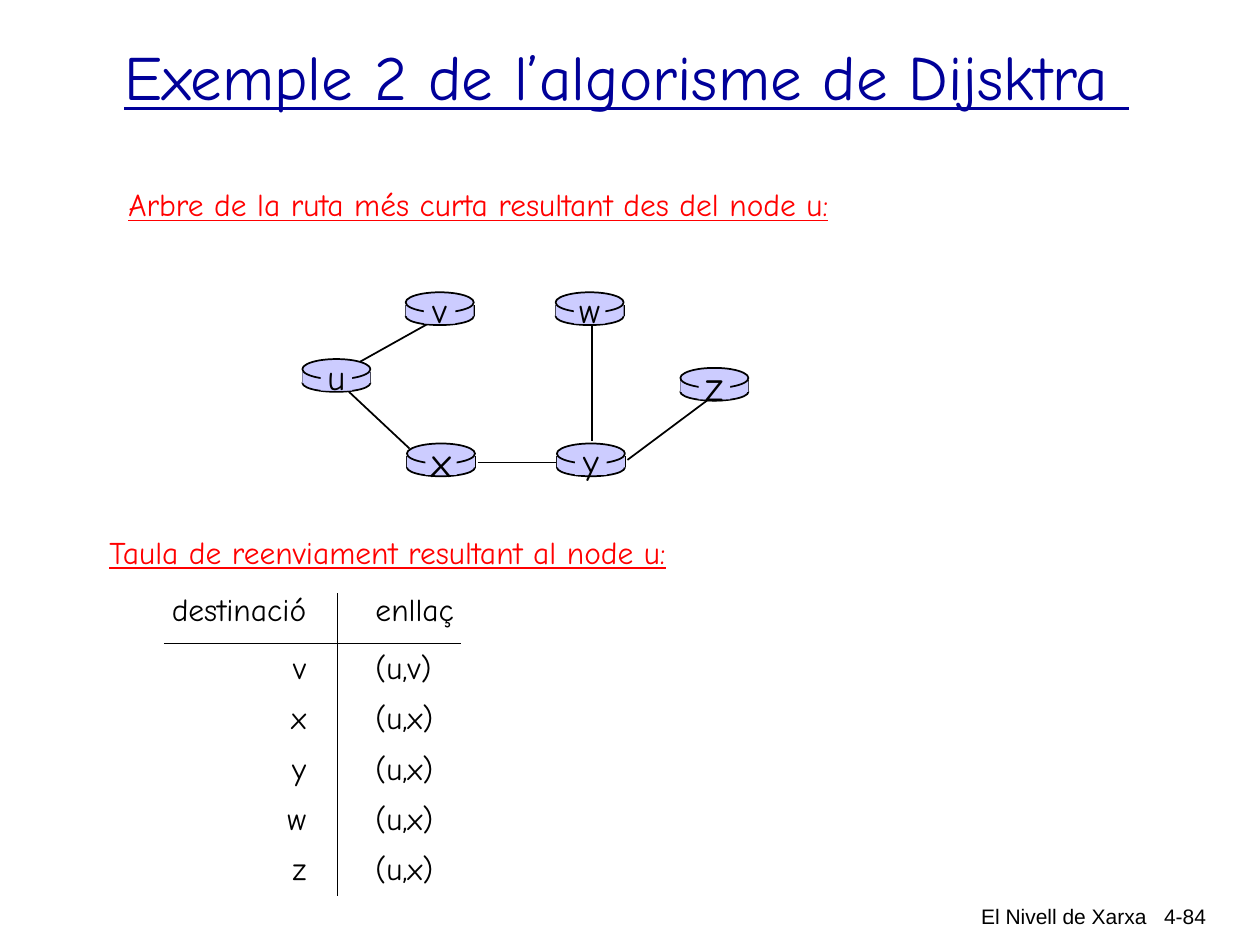
from lxml.etree import SubElement
from pptx import Presentation
from pptx.dml.color import RGBColor
from pptx.enum.shapes import MSO_CONNECTOR, MSO_SHAPE
from pptx.enum.text import MSO_ANCHOR, PP_ALIGN
from pptx.oxml.ns import qn
from pptx.util import Inches, Pt

BLACK, RED, NAVY, LILAC = "000000", "FF0000", "000099", "CCCCFF"
HAND, PLAIN = "Comic Neue", "Arial"

TITLE = "Exemple 2 de l’algorisme de Dijsktra "
TREE_HEADING = "Arbre de la ruta més curta resultant des del node u:"
TABLE_HEADING = "Taula de reenviament resultant al node u:"
FOOTER, PAGE = "El Nivell de Xarxa", "4-84"

ROUTERS = [
    ("u", 2.4, 2.85, 20),
    ("x", 3.23, 3.52, 24),
    ("v", 3.22, 2.32, 20),
    ("w", 4.41, 2.32, 20),
    ("y", 4.42, 3.52, 20),
    ("z", 5.4, 2.92, 24),
]
LINKS = {
    "uv": (2.86, 2.87, 3.45, 2.54),
    "wy": (4.7, 2.59, 4.7, 3.5),
    "yz": (4.98, 3.65, 5.61, 3.18),
    "xy": (3.79, 3.67, 4.43, 3.67),
    "ux": (2.77, 3.11, 3.25, 3.56),
}
FORWARDING = [
    ("destinació", "enllaç"),
    ("v", "(u,v)"),
    ("x", "(u,x)"),
    ("y", "(u,x)"),
    ("w", "(u,x)"),
    ("z", "(u,x)"),
]
COLUMNS, ROW = (1.38, 0.98), 0.4
ROUTER_W, RIM_H, BASE_H, WALL_H = 0.54, 0.16, 0.14, 0.09
PLATE_W, PLATE_H = 0.25, 0.23

prs = Presentation()
prs.slide_width, prs.slide_height = Inches(10), Inches(7.5)
slide = prs.slides.add_slide(prs.slide_layouts[6])
shapes = slide.shapes


def rgb(value):
    return RGBColor.from_string(value)


def write(frame, text, size, color=BLACK, face=HAND, align=PP_ALIGN.LEFT, underline=False):
    paragraph = frame.paragraphs[0]
    paragraph.alignment = align
    run = paragraph.add_run()
    run.text = text
    run.font.size, run.font.name = Pt(size), face
    run.font.color.rgb = rgb(color)
    if underline:
        run.font.underline = True


def add_text(text, box, size, wrap=True, **style):
    frame = shapes.add_textbox(*map(Inches, box)).text_frame
    frame.word_wrap = wrap
    write(frame, text, size, **style)


def add_solid(kind, box, outlined=False):
    solid = shapes.add_shape(kind, *map(Inches, box))
    solid.shadow.inherit = False
    solid.fill.solid()
    solid.fill.fore_color.rgb = rgb(LILAC)
    if outlined:
        solid.line.color.rgb, solid.line.width = rgb(BLACK), Pt(1)
    else:
        solid.line.fill.background()
    return solid


def add_line(*ends):
    line = shapes.add_connector(MSO_CONNECTOR.STRAIGHT, *map(Inches, ends))
    line.line.color.rgb, line.line.width = rgb(BLACK), Pt(1)
    SubElement(line._element.spPr, qn("a:effectLst"))


def add_router(name, x, y, size):
    wall = y + 0.1
    add_solid(MSO_SHAPE.OVAL, (x, y + 0.12, ROUTER_W, BASE_H), True)
    for side in (x, x + ROUTER_W):
        add_line(side, wall, side, wall + WALL_H)
    add_solid(MSO_SHAPE.RECTANGLE, (x, wall, ROUTER_W, WALL_H))
    add_solid(MSO_SHAPE.OVAL, (x, y, ROUTER_W, RIM_H), True)
    plate_x = x + (ROUTER_W - PLATE_W) / 2
    plate = add_solid(MSO_SHAPE.RECTANGLE, (plate_x, y + 0.02, PLATE_W, PLATE_H))
    frame = plate.text_frame
    frame.margin_left = frame.margin_right = frame.margin_top = frame.margin_bottom = 0
    frame.vertical_anchor, frame.word_wrap = MSO_ANCHOR.MIDDLE, False
    write(frame, name, size, align=PP_ALIGN.CENTER)


def set_borders(cell, drawn):
    properties = cell._tc.get_or_add_tcPr()
    for position, edge in enumerate(("lnL", "lnR", "lnT", "lnB")):
        border = properties.makeelement(qn("a:" + edge), {"w": str(Pt(0.75))})
        properties.insert(position, border)
        if edge in drawn:
            fill = SubElement(border, qn("a:solidFill"))
            SubElement(fill, qn("a:srgbClr"), val=BLACK)
        else:
            SubElement(border, qn("a:noFill"))


def add_forwarding_table(left, top):
    count = len(FORWARDING)
    table = shapes.add_table(count, len(COLUMNS), Inches(left), Inches(top),
                             Inches(sum(COLUMNS)), Inches(ROW * count)).table
    table.horz_banding = table.first_row = False
    for column, width in zip(table.columns, COLUMNS):
        column.width = Inches(width)
    for r, entry in enumerate(FORWARDING):
        table.rows[r].height = Inches(ROW)
        for c, text in enumerate(entry):
            cell = table.cell(r, c)
            cell.fill.background()
            cell.margin_top = cell.margin_bottom = 0
            cell.margin_left = Inches(0.3 if c else 0)
            cell.margin_right = Inches(0 if c else 0.25)
            cell.vertical_anchor = MSO_ANCHOR.MIDDLE if r else MSO_ANCHOR.TOP
            write(cell.text_frame, text, 18, align=PP_ALIGN.LEFT if c else PP_ALIGN.RIGHT)
            drawn = {"lnL" if c else "lnR"}
            if r < 2:
                drawn.add("lnT" if r else "lnB")
            set_borders(cell, drawn)


add_text(FOOTER, (6.03, 7.12, 3.17, 0.38), 12, face=PLAIN, align=PP_ALIGN.RIGHT)
add_text(PAGE, (8.93, 7.12, 0.74, 0.38), 12, face=PLAIN, align=PP_ALIGN.RIGHT)
for ends in LINKS.values():
    add_line(*ends)
for router in ROUTERS:
    add_router(*router)
add_text(TREE_HEADING, (0.92, 1.42, 5.79, 0.4), 18, wrap=False, color=RED, underline=True)
add_text(TABLE_HEADING, (0.77, 4.18, 4.65, 0.4), 18, wrap=False, color=RED, underline=True)
add_forwarding_table(1.3, 4.71)
add_text(TITLE, (0.58, 0.25, 8.79, 0.96), 36, color=NAVY, align=PP_ALIGN.CENTER, underline=True)

prs.save("out.pptx")
